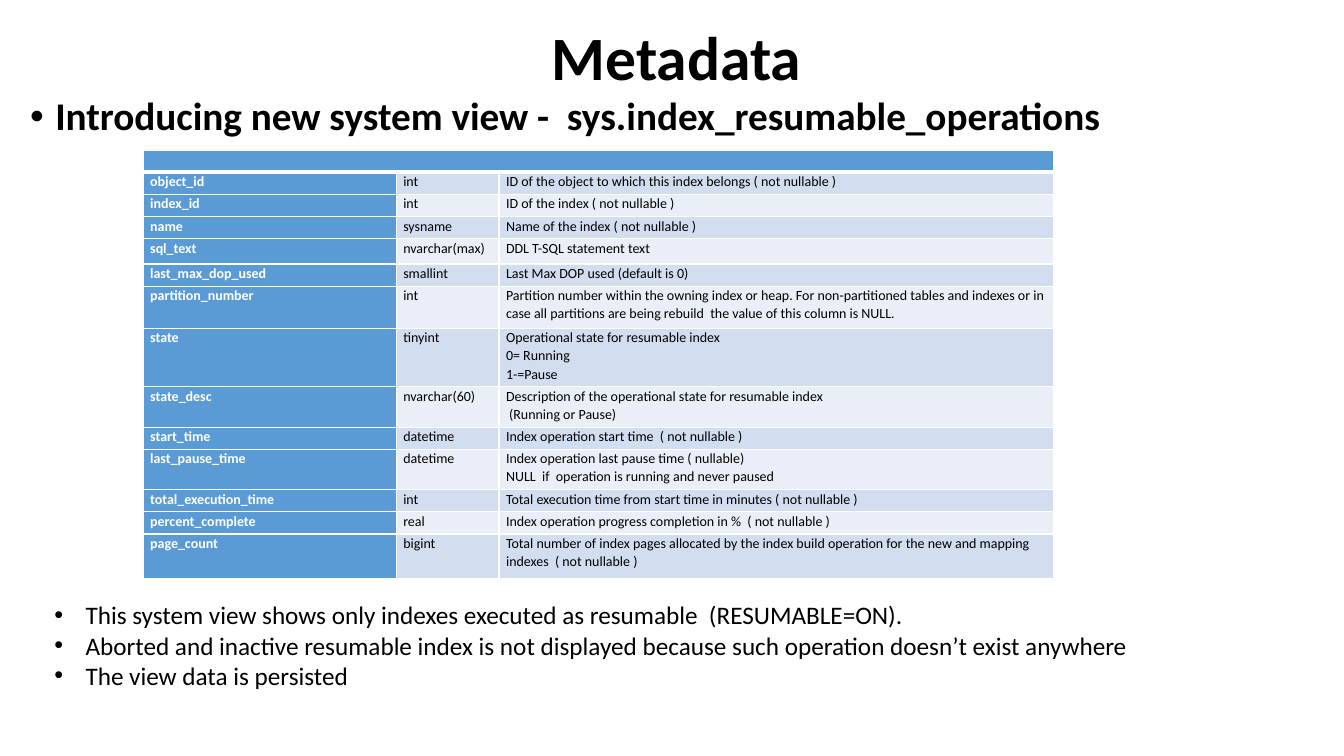
from dataclasses import dataclass

from lxml.etree import SubElement
from pptx import Presentation
from pptx.dml.color import RGBColor as Color
from pptx.enum.text import MSO_ANCHOR as Anchor, PP_ALIGN as Align
from pptx.oxml.ns import qn
from pptx.slide import Slide
from pptx.table import _Cell as Cell
from pptx.text.text import _Paragraph as Paragraph
from pptx.util import Inches, Pt


@dataclass(frozen=True)
class Theme:
    """Colours and type sizes of the slide."""
    font: str = "Calibri"
    ink: str = "000000"
    white: str = "FFFFFF"
    accent: str = "5B9BD5"
    bands: tuple[str, str] = ("D2DEEF", "EAEFF7")
    title: int = 44
    heading: int = 28
    note: int = 18
    cell: int = 10


@dataclass(frozen=True)
class Column:
    """One column of the system view, as a table row."""
    name: str
    kind: str
    description: str
    height: float = 0.22


@dataclass(frozen=True)
class TextBlock:
    """A text box with one paragraph per line."""
    box: tuple[float, float, float, float]
    lines: tuple[str, ...]
    size: int
    bold: bool = False
    spacing: float = 1.0
    indent: float = 0.0
    align: Align = Align.LEFT
    anchor: Anchor = Anchor.TOP


THEME = Theme()
HEADER_HEIGHT = 0.22
COLUMN_WIDTHS = (2.51, 1.02, 5.5)
TABLE_LEFT, TABLE_TOP = 1.42, 1.49

COLUMNS = (
    Column("object_id", "int", "ID of the object to which this index belongs ( not nullable )"),
    Column("index_id", "int", "ID of the index ( not nullable )"),
    Column("name", "sysname", "Name of the index ( not nullable )"),
    Column("sql_text", "nvarchar(max)", "DDL T-SQL statement text", 0.25),
    Column("last_max_dop_used", "smallint", "Last Max DOP used (default is 0)"),
    Column("partition_number", "int",
           "Partition number within the owning index or heap. For non-partitioned tables and indexes "
           "or in case all partitions are being rebuild  the value of this column is NULL.", 0.42),
    Column("state", "tinyint", "Operational state for resumable index\n0= Running\n1-=Pause", 0.58),
    Column("state_desc", "nvarchar(60)",
           "Description of the operational state for resumable index\v (Running or Pause)", 0.4),
    Column("start_time", "datetime", "Index operation start time  ( not nullable )"),
    Column("last_pause_time", "datetime",
           "Index operation last pause time ( nullable)\n"
           "NULL  if  operation is running and never paused", 0.4),
    Column("total_execution_time", "int",
           "Total execution time from start time in minutes ( not nullable )"),
    Column("percent_complete", "real", "Index operation progress completion in %  ( not nullable )"),
    Column("page_count", "bigint",
           "Total number of index pages allocated by the index build operation for the new and "
           "mapping indexes  ( not nullable )", 0.44),
)

TEXT_BLOCKS = (
    TextBlock((1.92, 0.14, 9.58, 0.92), ("Metadata",), THEME.title, bold=True, spacing=0.9,
              align=Align.CENTER, anchor=Anchor.MIDDLE),
    TextBlock((0.2, 0.91, 12.86, 0.55),
              ("Introducing new system view -  sys.index_resumable_operations",),
              THEME.heading, bold=True, spacing=0.9, indent=0.25),
    TextBlock((0.44, 5.9, 11.24, 1.0),
              ("This system view shows only indexes executed as resumable  (RESUMABLE=ON).",
               "Aborted and inactive resumable index is not displayed because such operation "
               "doesn’t exist anywhere",
               "The view data is persisted"), THEME.note, indent=0.31),
)


def set_font(paragraph: Paragraph, size: int, color: str, bold: bool) -> None:
    """Set the font of a whole paragraph."""
    font = paragraph.font
    font.name, font.size, font.bold = THEME.font, Pt(size), bold
    font.color.rgb = Color.from_string(color)


def add_bullet(paragraph: Paragraph, indent: float) -> None:
    """Give a paragraph a round bullet with a hanging indent."""
    properties = paragraph._p.get_or_add_pPr()
    properties.set("marL", str(Inches(indent)))
    properties.set("indent", str(-Inches(indent)))
    SubElement(properties, qn("a:buFont"), typeface="Arial")
    SubElement(properties, qn("a:buChar"), char="•")


def add_text(slide: Slide, block: TextBlock) -> None:
    """Draw a text block."""
    shape = slide.shapes.add_textbox(*map(Inches, block.box))
    frame = shape.text_frame
    frame.word_wrap = True
    frame.vertical_anchor = block.anchor
    frame.text = "\n".join(block.lines)
    for paragraph in frame.paragraphs:
        paragraph.alignment = block.align
        paragraph.line_spacing = block.spacing
        if block.indent:
            add_bullet(paragraph, block.indent)
        set_font(paragraph, block.size, THEME.ink, block.bold)


def style_cell(cell: Cell, fill: str, top: int = 1, bottom: int = 1) -> None:
    """Set the margins, white borders and fill of a cell."""
    cell.margin_left = cell.margin_right = Inches(0.07)
    cell.margin_top = cell.margin_bottom = 0
    properties = cell._tc.get_or_add_tcPr()
    for side, width in (("L", 1), ("R", 1), ("T", top), ("B", bottom)):
        line = SubElement(properties, qn(f"a:ln{side}"), w=str(Pt(width)))
        SubElement(SubElement(line, qn("a:solidFill")), qn("a:srgbClr"), val=THEME.white)
    cell.fill.solid()
    cell.fill.fore_color.rgb = Color.from_string(fill)


def write_cell(cell: Cell, text: str, color: str, bold: bool) -> None:
    """Fill a cell with text."""
    cell.text = text
    for paragraph in cell.text_frame.paragraphs:
        paragraph.line_spacing = 1.07
        set_font(paragraph, THEME.cell, color, bold)


def add_view_table(slide: Slide) -> None:
    """Draw the table of the system view's columns."""
    heights = (HEADER_HEIGHT, *(column.height for column in COLUMNS))
    table = slide.shapes.add_table(
        len(heights), len(COLUMN_WIDTHS), Inches(TABLE_LEFT), Inches(TABLE_TOP),
        Inches(sum(COLUMN_WIDTHS)), Inches(sum(heights))).table
    for table_column, width in zip(table.columns, COLUMN_WIDTHS):
        table_column.width = Inches(width)
    for row, height in zip(table.rows, heights):
        row.height = Inches(height)

    for cell in table.rows[0].cells:
        style_cell(cell, THEME.accent, bottom=3)
        paragraph = cell.text_frame.paragraphs[0]
        SubElement(paragraph._p, qn("a:endParaRPr"), sz=str(THEME.cell * 100))
    table.cell(0, 0).merge(table.cell(0, len(COLUMN_WIDTHS) - 1))

    for index, column in enumerate(COLUMNS):
        band = THEME.bands[index % 2]
        texts = (column.name, column.kind, column.description)
        for position, text in enumerate(texts):
            is_name = position == 0
            cell = table.cell(index + 1, position)
            style_cell(cell, THEME.accent if is_name else band, top=1 if index else 3)
            write_cell(cell, text, THEME.white if is_name else THEME.ink, is_name)


def main() -> None:
    """Build and save the slide."""
    presentation = Presentation()
    presentation.slide_width, presentation.slide_height = Inches(13.33), Inches(7.5)
    slide = presentation.slides.add_slide(presentation.slide_layouts[6])
    for block in TEXT_BLOCKS:
        add_text(slide, block)
    add_view_table(slide)
    presentation.save("out.pptx")


if __name__ == "__main__":
    main()
